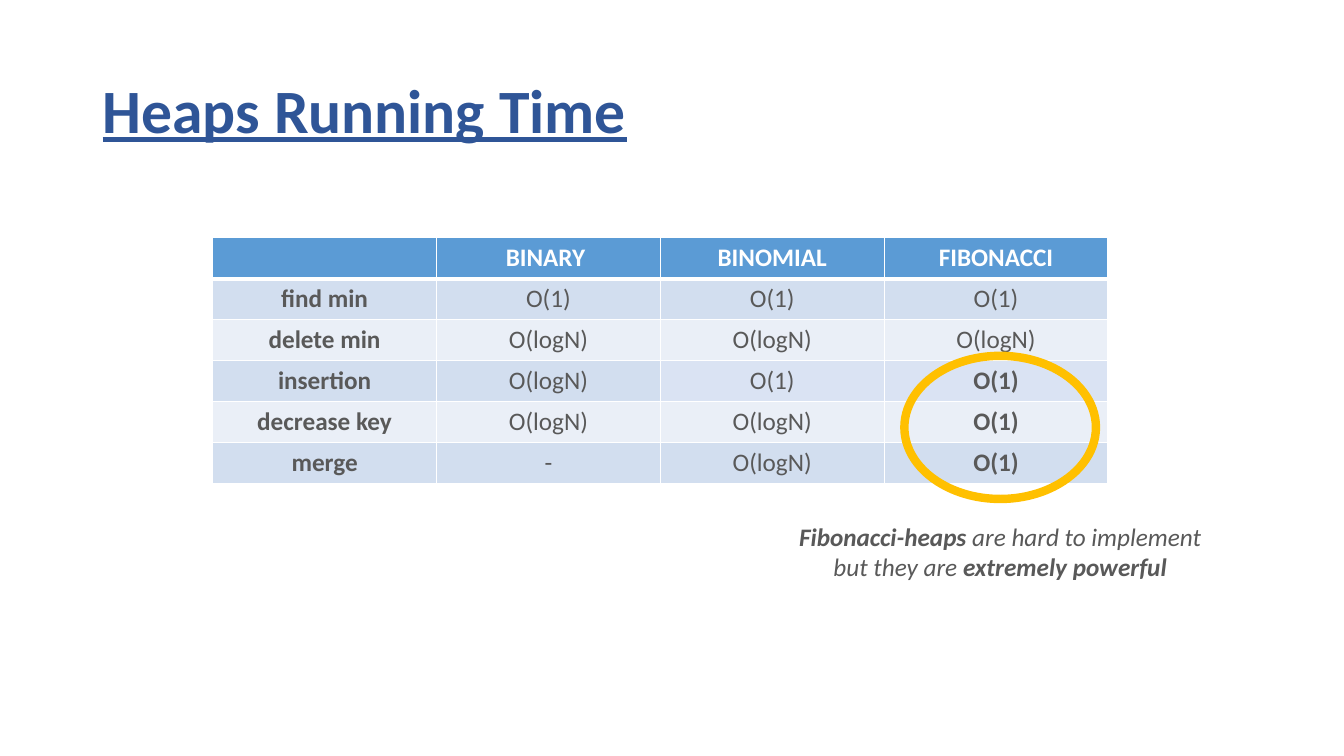
from lxml import etree
from pptx import Presentation
from pptx import util as u
from pptx.dml.color import RGBColor
from pptx.enum import shapes, text
from pptx.oxml.ns import qn

FONT = "Calibri"
GREY = "595959"
WHITE = "FFFFFF"
HEADER_FILL = "5B9BD5"
BAND_FILLS = ("D2DEEF", "EAEFF7")
HIGHLIGHT_FILL = "DAE3F3"
HIGHLIGHT_CELLS = {(3, 2), (3, 3)}
FAST_ROW = 3
FIBONACCI_COLUMN = 3
ROWS = [
    ["", "BINARY ", "BINOMIAL", "FIBONACCI"],
    ["find min", "O(1)", "O(1)", "O(1)"],
    ["delete min", "O(logN)", "O(logN)", "O(logN)"],
    ["insertion", "O(logN)", "O(1)", "O(1)"],
    ["decrease key", "O(logN)", "O(logN)", "O(1)"],
    ["merge", "-", "O(logN)", "O(1)"],
]


def color(value):
    """Turn a hex string into a colour."""
    return RGBColor.from_string(value)


def add_run(paragraph, words, size=18, fill=GREY, bold=False, italic=False, underline=False):
    """Append formatted text to a paragraph."""
    run = paragraph.add_run()
    run.text = words
    font = run.font
    font.name, font.size = FONT, u.Pt(size)
    font.bold, font.italic, font.underline = bold, italic, underline
    font.color.rgb = color(fill)


def add_text_box(slide, box, paragraphs, align, wrap=True, spacing=None,
                 anchor=text.MSO_ANCHOR.TOP):
    """Add a text box from paragraphs made of (words, format) runs."""
    shape = slide.shapes.add_textbox(*map(u.Inches, box))
    frame = shape.text_frame
    frame.word_wrap = wrap
    frame.vertical_anchor = anchor
    for index, runs in enumerate(paragraphs):
        paragraph = frame.add_paragraph() if index else frame.paragraphs[0]
        paragraph.alignment = align
        paragraph.line_spacing = spacing
        for words, style in runs:
            add_run(paragraph, words, **style)


def set_borders(cell, bottom):
    """Draw white borders around a cell, with a given bottom width."""
    properties = cell._tc.get_or_add_tcPr()
    widths = {"a:lnL": 1, "a:lnR": 1, "a:lnT": 1, "a:lnB": bottom}
    for position, (tag, width) in enumerate(widths.items()):
        line = etree.Element(qn(tag), w=str(u.Pt(width)))
        fill = etree.SubElement(line, qn("a:solidFill"))
        etree.SubElement(fill, qn("a:srgbClr"), val=WHITE)
        properties.insert(position, line)


def cell_fill(row, column):
    """Choose the fill of a table cell."""
    if row == 0:
        return HEADER_FILL
    if (row, column) in HIGHLIGHT_CELLS:
        return HIGHLIGHT_FILL
    return BAND_FILLS[(row - 1) % 2]


def add_running_times(slide):
    """Add the table of heap running times."""
    box = map(u.Inches, (2.11, 2.36, 8.88, 2.43))
    table = slide.shapes.add_table(len(ROWS), len(ROWS[0]), *box).table
    for row, entries in enumerate(ROWS):
        for column, words in enumerate(entries):
            cell = table.cell(row, column)
            cell.fill.solid()
            cell.fill.fore_color.rgb = color(cell_fill(row, column))
            set_borders(cell, bottom=1 if row else 3)
            paragraph = cell.text_frame.paragraphs[0]
            paragraph.alignment = text.PP_ALIGN.CENTER
            fast = row >= FAST_ROW and column == FIBONACCI_COLUMN
            if words:
                add_run(paragraph, words, fill=GREY if row else WHITE,
                        bold=row == 0 or column == 0 or fast)


def add_ring(slide, box, line, width):
    """Add an unfilled ellipse."""
    ring = slide.shapes.add_shape(shapes.MSO_SHAPE.OVAL, *map(u.Inches, box))
    ring.shadow.inherit = False
    ring.fill.background()
    ring.line.color.rgb = color(line)
    ring.line.width = u.Pt(width)


def main():
    """Build and save the slide."""
    presentation = Presentation()
    presentation.slide_width = u.Inches(13.33)
    presentation.slide_height = u.Inches(7.5)
    slide = presentation.slides.add_slide(presentation.slide_layouts[6])
    add_running_times(slide)
    title_style = {"size": 44, "fill": "2F5597", "bold": True, "underline": True}
    add_text_box(slide, (0.92, 0.4, 11.5, 1.45), [[("Heaps Running Time", title_style)]],
                 text.PP_ALIGN.LEFT, spacing=0.9, anchor=text.MSO_ANCHOR.MIDDLE)
    add_ring(slide, (8.97, 3.53, 1.9, 1.42), line="FFC000", width=6)
    plain = {"italic": True}
    strong = {"italic": True, "bold": True}
    add_text_box(slide, (7.82, 5.12, 4.2, 0.71), [
        [("Fibonacci-heaps", strong), (" are hard to implement", plain)],
        [("but they are ", plain), ("extremely powerful", strong)],
    ], text.PP_ALIGN.CENTER, wrap=False)
    presentation.save("out.pptx")


if __name__ == "__main__":
    main()
